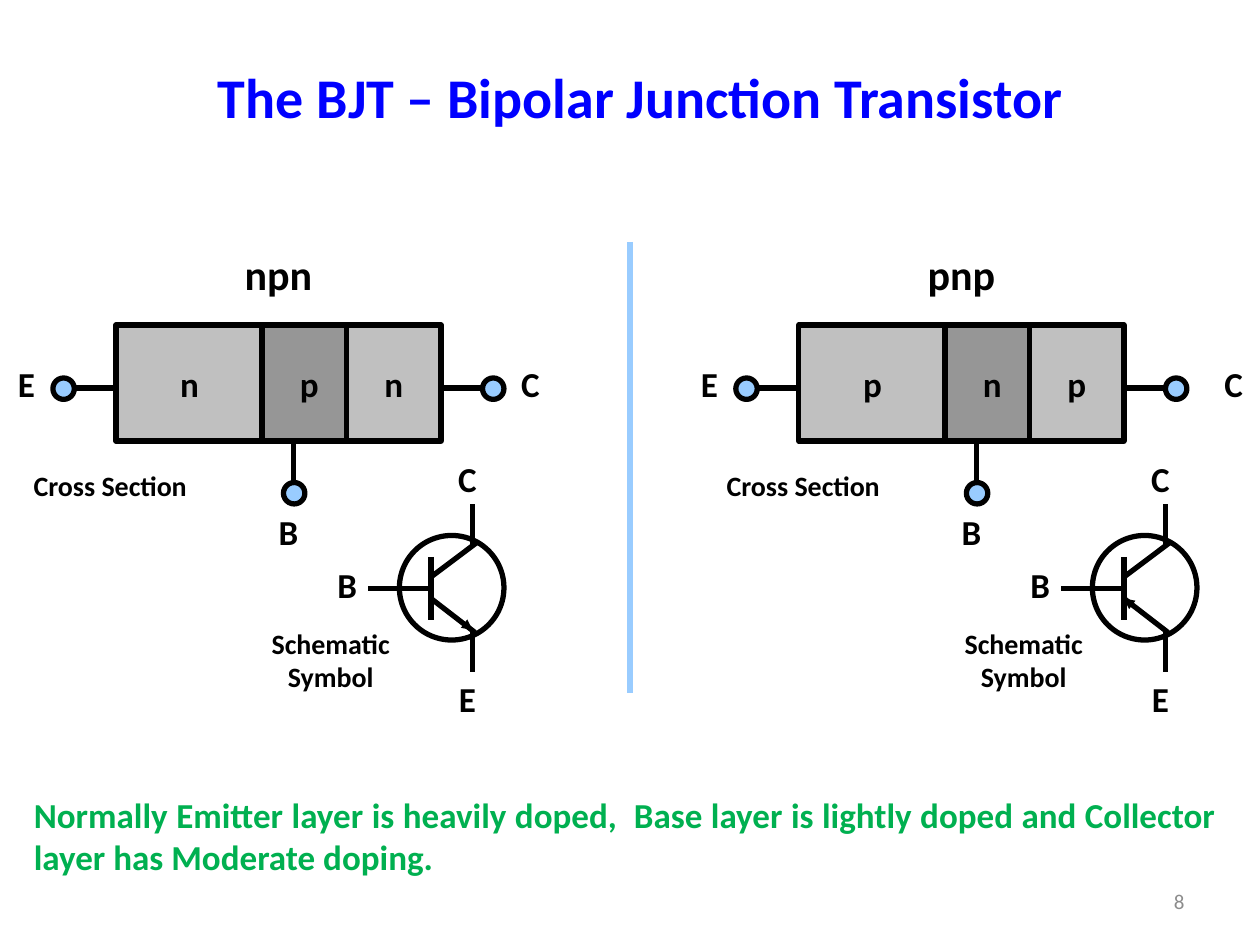
from lxml import etree
from pptx import Presentation, util as u
from pptx.dml import color
from pptx.enum import shapes, text
from pptx.oxml import ns

BLACK, LIGHT, DARK, BLUE = "000000", "C0C0C0", "969696", "99CCFF"
CENTER, RIGHT, JUSTIFY = text.PP_ALIGN.CENTER, text.PP_ALIGN.RIGHT, text.PP_ALIGN.JUSTIFY


def rgb(value):
    return color.RGBColor.from_string(value)


class Canvas:
    font = "Calibri"

    def __init__(self, slide):
        self.slide = slide

    def set_text(self, shape, content, size, ink=BLACK, align=CENTER, bold=True):
        shape.text_frame.text = content
        paragraph = shape.text_frame.paragraphs[0]
        paragraph.alignment = align
        for run in paragraph.runs:
            run.font.name = self.font
            run.font.size = u.Pt(size)
            run.font.bold = bold
            run.font.color.rgb = rgb(ink)

    def label(self, content, left, top, width, height, size=20, middle=False, **style):
        shape = self.slide.shapes.add_textbox(*map(u.Inches, (left, top, width, height)))
        shape.text_frame.word_wrap = True
        if middle:
            shape.text_frame.vertical_anchor = text.MSO_ANCHOR.MIDDLE
        self.set_text(shape, content, size, **style)

    def outline(self, shape, fill=None):
        shape.shadow.inherit = False
        if fill:
            shape.fill.solid()
            shape.fill.fore_color.rgb = rgb(fill)
        else:
            shape.fill.background()
        shape.line.color.rgb = rgb(BLACK)
        shape.line.width = u.Pt(3)

    def block(self, content, left, top, width, height, fill):
        shape = self.slide.shapes.add_shape(
            shapes.MSO_SHAPE.RECTANGLE, *map(u.Inches, (left, top, width, height)))
        self.outline(shape, fill)
        shape.text_frame.word_wrap = False
        shape.text_frame.vertical_anchor = text.MSO_ANCHOR.MIDDLE
        self.set_text(shape, content, 20)

    def circle(self, left, top, diameter, fill=None):
        shape = self.slide.shapes.add_shape(
            shapes.MSO_SHAPE.OVAL, *map(u.Inches, (left, top, diameter, diameter)))
        self.outline(shape, fill)

    def stroke(self, start, end):
        builder = self.slide.shapes.build_freeform(*map(u.Inches, start))
        builder.add_line_segments([tuple(map(u.Inches, end))], close=False)
        self.outline(builder.convert_to_shape())

    def line(self, start, end, ink=BLACK, width=3, arrow=False):
        connector = self.slide.shapes.add_connector(
            shapes.MSO_CONNECTOR.STRAIGHT, *map(u.Inches, (*start, *end)))
        connector.line.color.rgb = rgb(ink)
        connector.line.width = u.Pt(width)
        properties = connector._element.spPr
        if arrow:
            etree.SubElement(properties.find(ns.qn("a:ln")), ns.qn("a:tailEnd"), type="triangle")
        etree.SubElement(properties, ns.qn("a:effectLst"))


def draw_cross_section(canvas, layers, x, collector_x):
    canvas.label(layers, x + 1.5, 1.92, 1.42, 0.5, size=24)
    columns = ((0.92, 1.17, LIGHT), (2.08, 0.75, DARK), (2.75, 0.75, LIGHT))
    for layer, (left, width, fill) in zip(layers, columns):
        canvas.block(layer, x + left, 2.58, width, 0.92, fill)
    leads = (((0.92, 3.08), (0.5, 3.08)), ((2.33, 3.5), (2.33, 3.83)),
             ((3.5, 3.08), (3.83, 3.08)))
    for (x1, y1), (x2, y2) in leads:
        canvas.line((x + x1, y1), (x + x2, y2))
    for left, top in ((3.83, 3), (2.25, 3.83), (0.42, 3)):
        canvas.circle(x + left, top, 0.17, BLUE)
    for terminal, left, top in (("E", x, 2.83), ("B", x + 2.08, 4), ("C", collector_x, 2.83)):
        canvas.label(terminal, left, top, 0.42, 0.43)


def draw_symbol(canvas, x, arrow_start, arrow_end):
    canvas.label("Cross Section", x, 3.67, 1.75, 0.37, size=16)
    canvas.circle(x + 3.17, 4.25, 0.83)
    canvas.stroke((x + 3.42, 4.58), (x + 3.78, 4.31))
    canvas.stroke((x + 3.42, 4.75), (x + 3.77, 5.02))
    wires = (((3.42, 4.42), (3.42, 4.92)), ((3.42, 4.67), (2.92, 4.67)),
             ((3.75, 4.33), (3.75, 4)), ((3.75, 5.33), (3.75, 5)))
    for (x1, y1), (x2, y2) in wires:
        canvas.line((x + x1, y1), (x + x2, y2))
    canvas.line((x + arrow_start[0], arrow_start[1]), (x + arrow_end[0], arrow_end[1]),
                width=2, arrow=True)
    for terminal, left, top, width in (("B", 2.58, 4.42, 0.33), ("C", 3.5, 3.58, 0.42),
                                       ("E", 3.5, 5.33, 0.42)):
        canvas.label(terminal, x + left, top, width, 0.43)
    canvas.label("Schematic Symbol", x + 1.75, 4.92, 1.75, 0.64, size=16)


def main():
    presentation = Presentation()
    presentation.slide_width = u.Inches(10)
    presentation.slide_height = u.Inches(7.5)
    canvas = Canvas(presentation.slides.add_slide(presentation.slide_layouts[6]))

    canvas.label("The BJT – Bipolar Junction Transistor", 0.92, 0.45, 8.33, 0.63,
                 size=32, ink="0000FF")
    canvas.label("Normally Emitter layer is heavily doped,  Base layer is lightly doped "
                 "and Collector layer has Moderate doping.", 0.17, 6.25, 9.58, 0.77,
                 ink="00B050", align=JUSTIFY)
    canvas.line((5, 1.92), (5, 5.5), ink=BLUE)

    base, emitter = (3.42, 4.75), (3.75, 5)
    draw_cross_section(canvas, "npn", 0, 4)
    draw_cross_section(canvas, "pnp", 5.42, 9.58)
    draw_symbol(canvas, 0, base, emitter)
    draw_symbol(canvas, 5.5, emitter, base)

    canvas.label("8", 7.17, 6.95, 2.33, 0.4, size=12, middle=True,
                 ink="8C8C8C", align=RIGHT, bold=False)
    presentation.save("out.pptx")


if __name__ == "__main__":
    main()
